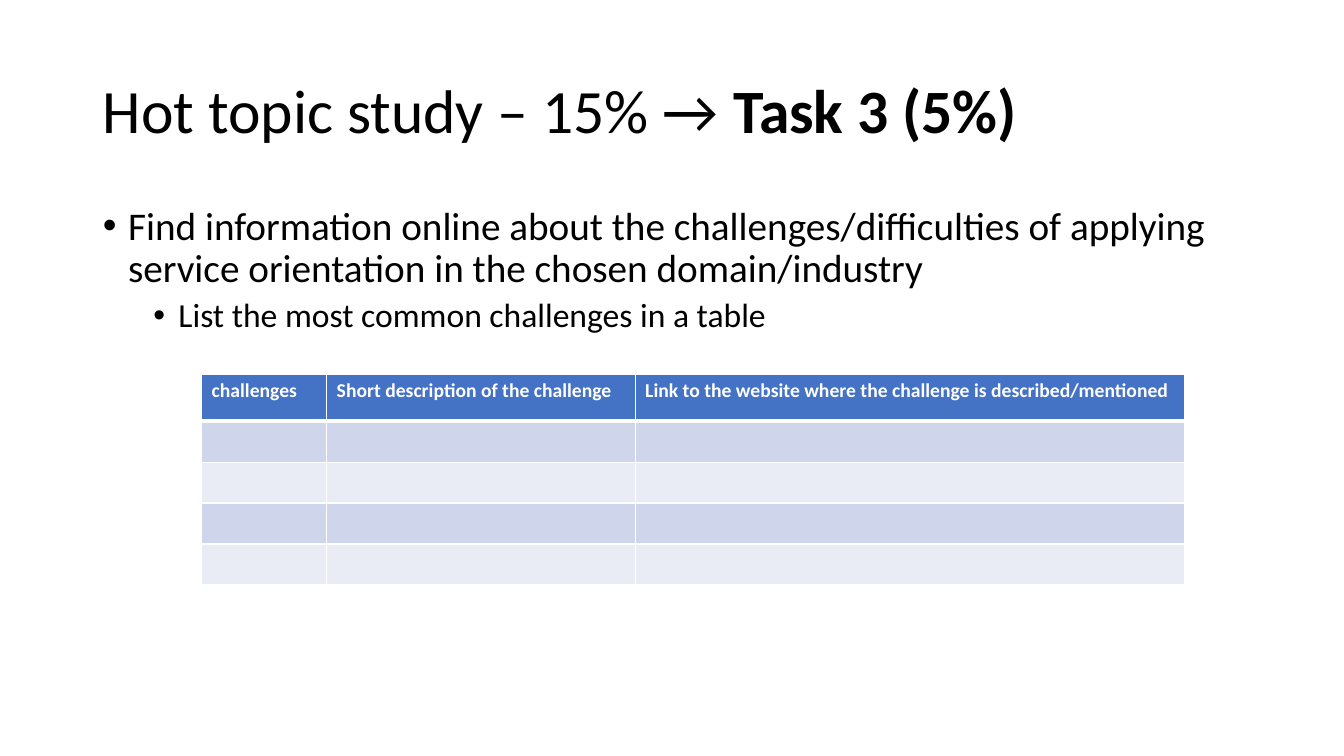
"""Build the Task 3 slide of the hot topic study, with an empty challenges table."""
from lxml.etree import SubElement
from pptx import Presentation
from pptx.dml.color import RGBColor
from pptx.enum.text import MSO_ANCHOR, MSO_AUTO_SIZE, PP_ALIGN
from pptx.oxml.ns import qn
from pptx.util import Inches, Pt

THEME = {
    "font": "Calibri",
    "text": "000000", "white": "FFFFFF", "header": "4472C4",
    "bands": ("CFD5EA", "E9EBF5"),
    "title_size": 44, "body_sizes": (28, 24), "header_size": 14, "cell_size": 18,
}


def add_run(paragraph, text, size, color, bold=False):
    run = paragraph.add_run()
    run.text = text
    run.font.color.rgb = RGBColor.from_string(color)
    values = {"name": THEME["font"], "size": Pt(size), "bold": bold}
    for name, value in values.items():
        setattr(run.font, name, value)


def add_border(cell, side, width):
    line = SubElement(cell._tc.get_or_add_tcPr(), qn(f"a:{side}"), w=str(Pt(width)))
    fill = SubElement(line, qn("a:solidFill"))
    SubElement(fill, qn("a:srgbClr"), val=THEME["white"])


presentation = Presentation()
presentation.slide_width = Inches(13.33)
presentation.slide_height = Inches(7.5)
slide = presentation.slides.add_slide(presentation.slide_layouts[1])
title = slide.shapes.title
body = slide.placeholders[1]

for shape, top, height, anchor in (
    (title, 0.4, 1.45, MSO_ANCHOR.MIDDLE),
    (body, 2, 4.76, MSO_ANCHOR.TOP),
):
    place = {"left": 0.92, "top": top, "width": 11.5, "height": height}
    for name, value in place.items():
        setattr(shape, name, Inches(value))
    frame = {"word_wrap": True, "auto_size": MSO_AUTO_SIZE.NONE, "vertical_anchor": anchor}
    for name, value in frame.items():
        setattr(shape.text_frame, name, value)

heading = title.text_frame.paragraphs[0]
heading.alignment = PP_ALIGN.LEFT
heading.line_spacing = 0.9
for text, bold in (("Hot topic study – 15% → ", False), ("Task 3 (5%)", True)):
    add_run(heading, text, THEME["title_size"], THEME["text"], bold)

bullets = (
    "Find information online about the challenges/difficulties of applying "
    "service orientation in the chosen domain/industry",
    "List the most common challenges in a table",
)
for level, text in enumerate(bullets):
    paragraph = body.text_frame.add_paragraph() if level else body.text_frame.paragraphs[0]
    properties = paragraph._p.get_or_add_pPr()
    properties.set("marL", str(Inches(0.25 + 0.5 * level)))
    properties.set("indent", str(Inches(-0.25)))
    SubElement(properties, qn("a:buFont"), typeface="Arial")
    SubElement(properties, qn("a:buChar"), char="•")
    spacing = {"level": level, "line_spacing": 0.9, "space_before": Pt(5 * level)}
    for name, value in spacing.items():
        setattr(paragraph, name, value)
    add_run(paragraph, text, THEME["body_sizes"][level], THEME["text"])

headers = (
    "challenges",
    "Short description of the challenge",
    "Link to the website where the challenge is described/mentioned",
)
column_widths = (1.24, 3.06, 5.45)
row_heights = (0.47,) + (0.4,) * 4
table = slide.shapes.add_table(
    len(row_heights), len(headers),
    Inches(2), Inches(3.71), Inches(sum(column_widths)), Inches(sum(row_heights)),
).table
for column, width in zip(table.columns, column_widths):
    column.width = Inches(width)

for row_index, height in enumerate(row_heights):
    row = table.rows[row_index]
    row.height = Inches(height)
    for cell, header in zip(row.cells, headers):
        top_width = 3 if row_index == 1 else 1
        bottom_width = 3 if row_index == 0 else 1
        for side, width in (("lnL", 1), ("lnR", 1), ("lnT", top_width), ("lnB", bottom_width)):
            add_border(cell, side, width)
        cell.fill.solid()
        paragraph = cell.text_frame.paragraphs[0]
        if row_index == 0:
            color = THEME["header"]
            add_run(paragraph, header, THEME["header_size"], THEME["white"], True)
        else:
            color = THEME["bands"][(row_index - 1) % 2]
            paragraph.font.size = Pt(THEME["cell_size"])
        cell.fill.fore_color.rgb = RGBColor.from_string(color)

presentation.save("out.pptx")
